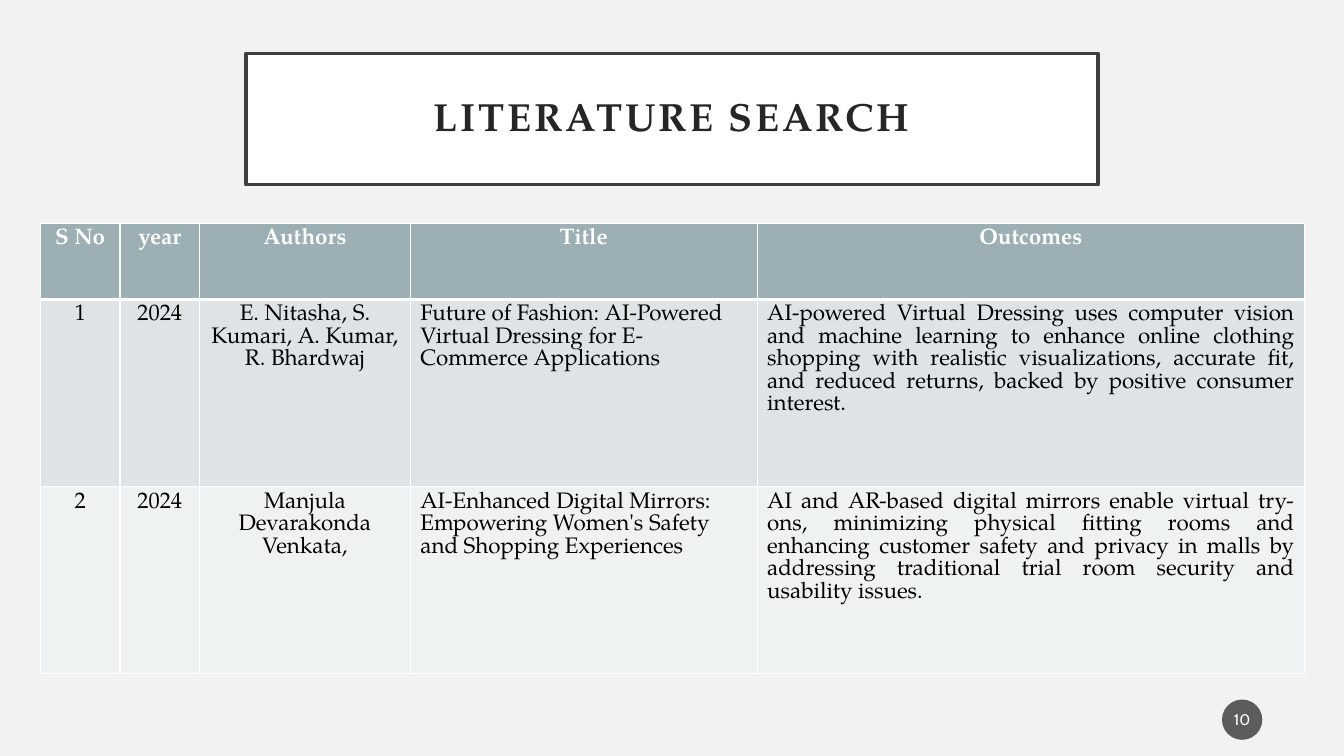
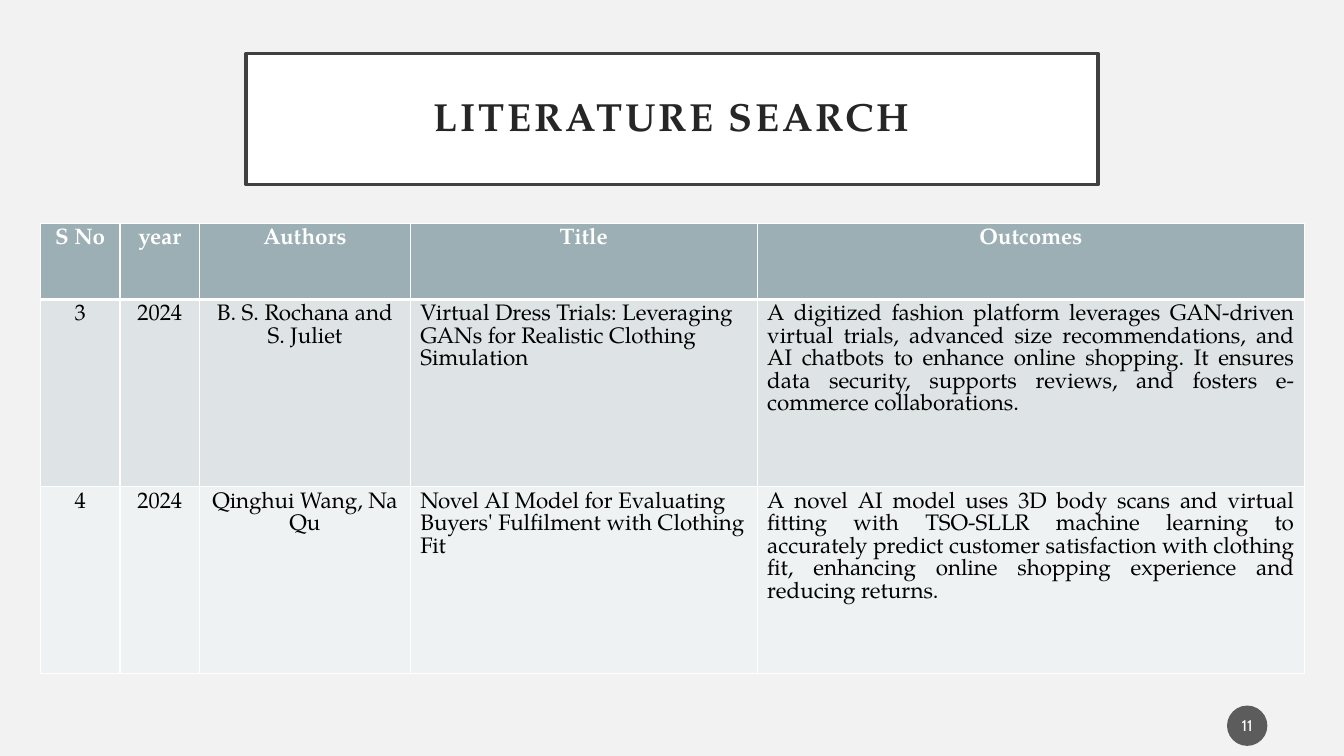
from lxml.etree import SubElement
from pptx import Presentation
from pptx.dml.color import RGBColor
from pptx.enum.shapes import MSO_SHAPE
from pptx.enum.text import MSO_ANCHOR, MSO_AUTO_SIZE, PP_ALIGN
from pptx.oxml.ns import qn
from pptx.util import Inches, Pt

TITLE = "LITERATURE SEARCH"
HEADINGS = ("S No", "year", "Authors", "Title", "Outcomes")
ALIGNMENTS = (PP_ALIGN.CENTER, PP_ALIGN.CENTER, PP_ALIGN.CENTER, PP_ALIGN.LEFT, PP_ALIGN.JUSTIFY)
COLUMN_WIDTHS = (0.79, 0.79, 2.09, 3.44, 5.43)
ROW_HEIGHTS = (0.75, 1.86, 1.85)

PAGES = (
    {
        "number": "10",
        "badge": (12.12, 6.94),
        "papers": (
            (
                "1",
                "2024",
                "E. Nitasha, S. Kumari, A. Kumar, R. Bhardwaj",
                "Future of Fashion: AI-Powered Virtual Dressing for E-Commerce Applications",
                "AI-powered Virtual Dressing uses computer vision and machine learning to enhance "
                "online clothing shopping with realistic visualizations, accurate fit, and reduced "
                "returns, backed by positive consumer interest.",
            ),
            (
                "2",
                "2024",
                "Manjula Devarakonda Venkata,",
                "AI-Enhanced Digital Mirrors: Empowering Women's Safety and Shopping Experiences",
                "AI and AR-based digital mirrors enable virtual try-ons, minimizing physical fitting "
                "rooms and enhancing customer safety and privacy in malls by addressing traditional "
                "trial room security and usability issues.",
            ),
        ),
    },
    {
        "number": "11",
        "badge": (12.17, 7),
        "papers": (
            (
                "3",
                "2024",
                "B. S. Rochana and S. Juliet",
                "Virtual Dress Trials: Leveraging GANs for Realistic Clothing Simulation",
                "A digitized fashion platform leverages GAN-driven virtual trials, advanced size "
                "recommendations, and AI chatbots to enhance online shopping. It ensures data "
                "security, supports reviews, and fosters e-commerce collaborations.",
            ),
            (
                "4",
                "2024",
                "Qinghui Wang, Na Qu",
                "Novel AI Model for Evaluating Buyers' Fulfilment with Clothing Fit",
                "A novel AI model uses 3D body scans and virtual fitting with TSO-SLLR machine "
                "learning to accurately predict customer satisfaction with clothing fit, enhancing "
                "online shopping experience and reducing returns.",
            ),
        ),
    },
)


def color(value):
    return RGBColor.from_string(value)


def paint(fill, value):
    fill.solid()
    fill.fore_color.rgb = color(value)


class SlideBuilder:
    SERIF = "TeX Gyre Pagella"
    SANS = "Cabin"
    BACKGROUND = "F2F2F2"
    WHITE = "FFFFFF"
    BLACK = "000000"
    TITLE_INK = "262626"
    TITLE_FRAME = "404040"
    BADGE = "1D1D1D"
    ROW_FILLS = ("9BAFB5", "DEE3E5", "EFF2F3")

    def __init__(self, deck):
        self.deck = deck
        self.page = None
        paint(deck.slide_master.background.fill, self.BACKGROUND)

    def start(self):
        self.page = self.deck.slides.add_slide(self.deck.slide_layouts[5])

    def add_text(self, frame, text, size, ink, font, align=PP_ALIGN.CENTER, bold=False):
        para = frame.paragraphs[0]
        para.alignment = align
        span = para.add_run()
        span.text = text
        span.font.size = Pt(size)
        span.font.name = font
        span.font.bold = bold
        span.font.color.rgb = color(ink)
        return para, span

    def inset(self, frame, across, down):
        frame.margin_left = frame.margin_right = Inches(across)
        frame.margin_top = frame.margin_bottom = Inches(down)
        frame.vertical_anchor = MSO_ANCHOR.MIDDLE

    def title(self, text):
        box = self.page.shapes.title
        box.left, box.top = Inches(2.44), Inches(0.53)
        box.width, box.height = Inches(8.45), Inches(1.3)
        paint(box.fill, self.WHITE)
        box.line.color.rgb = color(self.TITLE_FRAME)
        box.line.width = Pt(2.5)
        frame = box.text_frame
        frame.auto_size = MSO_AUTO_SIZE.NONE
        self.inset(frame, 0.2, 0.2)
        para, span = self.add_text(frame, text, 28, self.TITLE_INK, self.SERIF, bold=True)
        para.line_spacing = 0.9
        span._r.get_or_add_rPr().set("spc", "200")

    def border(self, cell, side, width):
        line = SubElement(cell._tc.get_or_add_tcPr(), qn(f"a:ln{side}"), w=str(Pt(width)))
        fill = SubElement(line, qn("a:solidFill"))
        SubElement(fill, qn("a:srgbClr"), val=self.WHITE)

    def table(self, papers):
        rows = (HEADINGS, *papers)
        table = self.page.shapes.add_table(
            len(rows), len(HEADINGS), Inches(0.4), Inches(2.22),
            Inches(sum(COLUMN_WIDTHS)), Inches(sum(ROW_HEIGHTS)),
        ).table
        for column, width in zip(table.columns, COLUMN_WIDTHS):
            column.width = Inches(width)
        for row_index, texts in enumerate(rows):
            table.rows[row_index].height = Inches(ROW_HEIGHTS[row_index])
            heading = row_index == 0
            ink = self.WHITE if heading else self.BLACK
            widths = {"L": 1, "R": 1, "T": 3 if row_index == 1 else 1, "B": 3 if heading else 1}
            for column_index, text in enumerate(texts):
                cell = table.cell(row_index, column_index)
                for side, width in widths.items():
                    self.border(cell, side, width)
                paint(cell.fill, self.ROW_FILLS[row_index])
                align = PP_ALIGN.CENTER if heading else ALIGNMENTS[column_index]
                self.add_text(cell.text_frame, text, 16, ink, self.SERIF, align, heading)

    def badge(self, number, left, top):
        circle = self.page.shapes.add_shape(
            MSO_SHAPE.OVAL, Inches(left), Inches(top), Inches(0.4), Inches(0.4)
        )
        circle.shadow.inherit = False
        circle.line.fill.background()
        paint(circle.fill, self.BADGE)
        SubElement(circle._element.spPr.find(".//" + qn("a:srgbClr")), qn("a:alpha"), val="70000")
        self.inset(circle.text_frame, 0.02, 0.05)
        self.add_text(circle.text_frame, number, 11, self.WHITE, self.SANS)


def main():
    deck = Presentation()
    deck.slide_width, deck.slide_height = Inches(13.33), Inches(7.5)
    builder = SlideBuilder(deck)
    for content in PAGES:
        builder.start()
        builder.title(TITLE)
        builder.table(content["papers"])
        builder.badge(content["number"], *content["badge"])
    deck.save("out.pptx")


if __name__ == "__main__":
    main()
